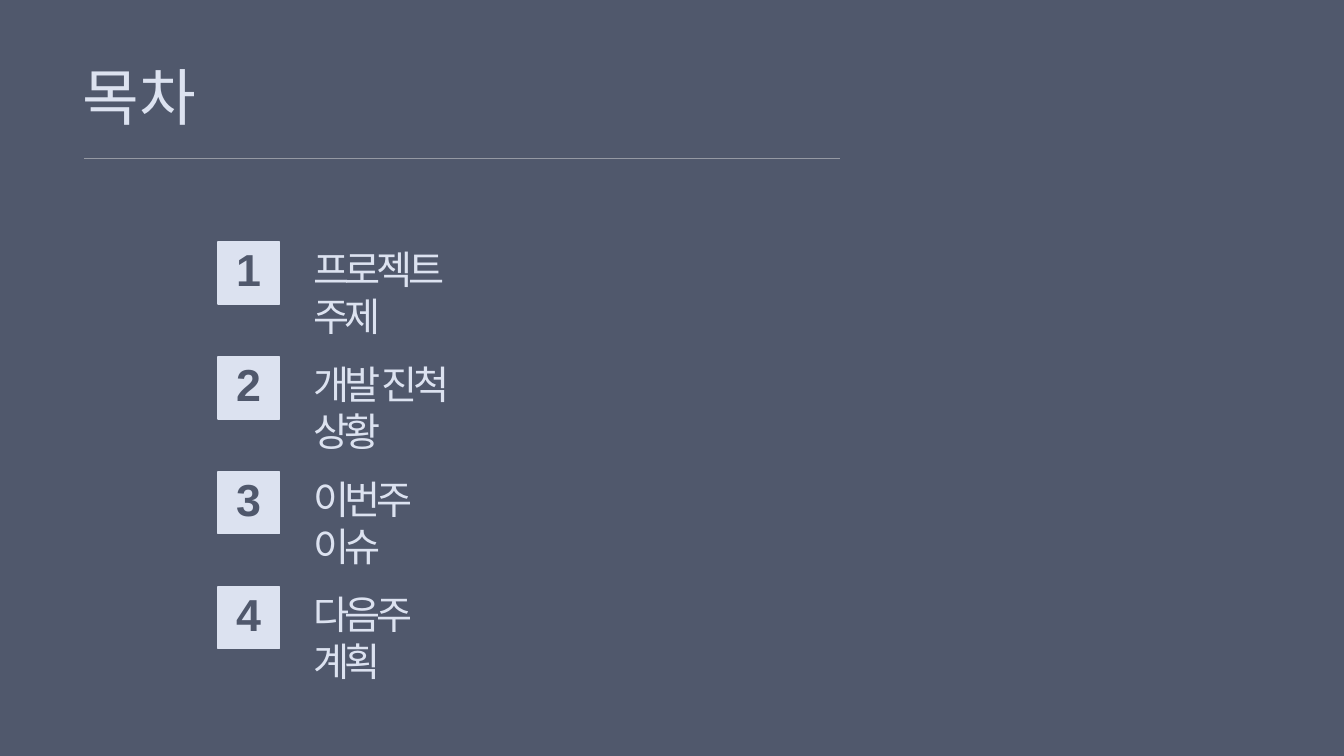
"""Build the contents slide with a title, a rule and four numbered entries."""
from lxml import etree
from pptx import Presentation
from pptx.dml.color import RGBColor
from pptx.enum.shapes import MSO_CONNECTOR, MSO_SHAPE
from pptx.enum.text import MSO_ANCHOR, MSO_AUTO_SIZE, PP_ALIGN
from pptx.oxml.ns import qn
from pptx.util import Inches, Pt

RECTANGLE = MSO_SHAPE.RECTANGLE
STRAIGHT = MSO_CONNECTOR.STRAIGHT
TOP = MSO_ANCHOR.TOP
NO_AUTO_SIZE = MSO_AUTO_SIZE.NONE
LEFT, CENTER = PP_ALIGN.LEFT, PP_ALIGN.CENTER
KOREAN_FONT = "Noto Sans CJK KR"
SLATE, PALE, GREY = "50586C", "DCE2F0", "9599A3"
ENTRIES = ["프로젝트 주제", "개발 진척 상황", "이번주 이슈", "다음주 계획"]
ENTRY_WIDTHS = [3.13, 3.21, 2.65, 2.65]
FIRST_TOP, PITCH = 3.6, 1.71


def color(value):
    return RGBColor.from_string(value)


def write_text(shape, text, size, fill, font=KOREAN_FONT, bold=False, align=LEFT,
               wrap=False, character_spacing=0, right_inset=0.1):
    frame = shape.text_frame
    frame.auto_size = NO_AUTO_SIZE
    frame.word_wrap = wrap
    frame.vertical_anchor = TOP
    frame.margin_right = Inches(right_inset)
    paragraph = frame.paragraphs[0]
    paragraph.alignment = align
    run = paragraph.add_run()
    run.text = text
    run.font.name = font
    run.font.size = Pt(size)
    run.font.bold = bold
    run.font.color.rgb = color(fill)
    properties = run._r.get_or_add_rPr()
    etree.SubElement(properties, qn("a:ea")).set("typeface", font)
    if character_spacing:
        properties.set("spc", str(int(character_spacing * 100)))


presentation = Presentation()
presentation.slide_width = Inches(20)
presentation.slide_height = Inches(11.25)
slide = presentation.slides.add_slide(presentation.slide_layouts[5])

title = slide.shapes.title
title.left, title.top = Inches(1.13), Inches(0.82)
title.width, title.height = Inches(2.2), Inches(1.21)
write_text(title, "목차", size=66, fill=PALE)

backdrop = slide.shapes.add_shape(RECTANGLE, 0, 0, Inches(20), Inches(11.25))
backdrop.shadow.inherit = False
backdrop.fill.solid()
backdrop.fill.fore_color.rgb = color(SLATE)
backdrop.line.fill.background()
title.element.addprevious(backdrop.element)

rule = slide.shapes.add_connector(STRAIGHT, Inches(1.25), Inches(2.35), Inches(12.5), Inches(2.35))
rule.line.color.rgb = color(GREY)
rule.line.width = Pt(0.75)
etree.SubElement(rule.element.spPr, qn("a:effectLst"))

for index, (entry, width) in enumerate(zip(ENTRIES, ENTRY_WIDTHS)):
    top = FIRST_TOP + index * PITCH
    group = slide.shapes.add_group_shape()

    square = group.shapes.add_shape(RECTANGLE, Inches(3.24), Inches(top), Inches(0.92), Inches(0.92))
    square.shadow.inherit = False
    square.fill.solid()
    square.fill.fore_color.rgb = color(PALE)
    square.line.color.rgb = color(PALE)
    square.line.width = Pt(2)

    number = group.shapes.add_textbox(Inches(3.41), Inches(top - 0.05), Inches(0.58), Inches(0.91))
    write_text(number, str(index + 1), size=48, fill=SLATE, font="Arial", bold=True, align=CENTER)

    label = group.shapes.add_textbox(Inches(4.56), Inches(top), Inches(width), Inches(0.81))
    write_text(label, entry, size=42, fill=PALE, wrap=True, character_spacing=-4.5, right_inset=0.4)

presentation.save("out.pptx")
